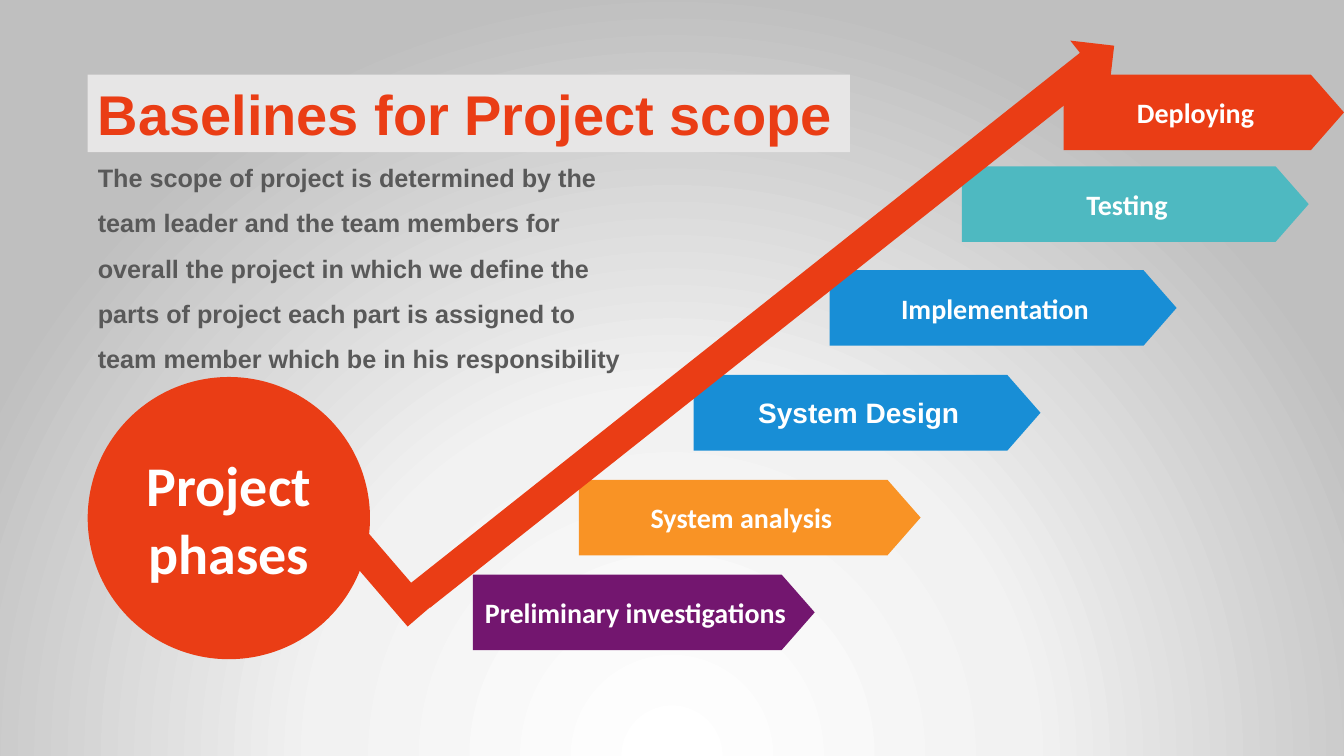
from lxml import etree
from pptx import Presentation
from pptx.dml.color import RGBColor
from pptx.enum.shapes import MSO_SHAPE
from pptx.enum.text import MSO_ANCHOR, MSO_AUTO_SIZE, PP_ALIGN
from pptx.oxml import parse_xml
from pptx.oxml.ns import nsdecls, qn
from pptx.util import Inches, Pt

PENTAGON = MSO_SHAPE.PENTAGON
RIGHT_ARROW = MSO_SHAPE.RIGHT_ARROW
RECTANGLE = MSO_SHAPE.RECTANGLE
OVAL = MSO_SHAPE.OVAL
LEFT, CENTER = PP_ALIGN.LEFT, PP_ALIGN.CENTER
TOP, MIDDLE = MSO_ANCHOR.TOP, MSO_ANCHOR.MIDDLE

RED = RGBColor(0xEA, 0x3D, 0x15)
TEAL = RGBColor(0x4E, 0xB9, 0xC1)
BLUE = RGBColor(0x18, 0x8E, 0xD6)
ORANGE = RGBColor(0xF9, 0x93, 0x25)
PURPLE = RGBColor(0x73, 0x16, 0x6F)
WHITE = RGBColor(0xFF, 0xFF, 0xFF)
DARK_GRAY = RGBColor(0x59, 0x59, 0x59)
LIGHT_GRAY = RGBColor(0xE7, 0xE6, 0xE6)
BACKGROUND_STOPS = [(0, "FFFFFF"), (46, "F2F2F2"), (100, "BFBFBF")]

SCOPE_TEXT = (
    "The scope of project is determined by the team leader and the team "
    "members for overall the project in which we define the parts of project "
    "each part is assigned to team member which be in his responsibility"
)
# label, left, top, width, colour, font
PHASES = [
    ("Preliminary investigations", 4.69, 5.7, 3.39, PURPLE, "Calibri"),
    ("System analysis", 5.74, 4.76, 3.39, ORANGE, "Calibri"),
    ("System Design", 6.88, 3.72, 3.44, BLUE, "Arial"),
    ("Implementation", 8.23, 2.68, 3.44, BLUE, "Calibri"),
    ("Testing", 9.54, 1.65, 3.44, TEAL, "Calibri"),
]
LAST_PHASE = ("Deploying", 10.55, 0.74, 2.78, RED, "Calibri")
PHASE_HEIGHT = 0.75


def set_background(slide):
    """Fill the slide with a round gradient centred below its lower edge."""
    fill = slide.background.fill
    fill.solid()
    solid = slide.background._cSld.find(".//" + qn("a:solidFill"))
    stops = "".join(
        f'<a:gs pos="{pos * 1000}"><a:srgbClr val="{color}"/></a:gs>'
        for pos, color in BACKGROUND_STOPS
    )
    gradient = parse_xml(
        f'<a:gradFill {nsdecls("a")} rotWithShape="1"><a:gsLst>{stops}</a:gsLst>'
        '<a:path path="circle"><a:fillToRect l="50000" t="130000" r="50000" '
        'b="-30000"/></a:path></a:gradFill>'
    )
    solid.getparent().replace(solid, gradient)


def place(shape, left, top, width, height):
    shape.left, shape.top = Inches(left), Inches(top)
    shape.width, shape.height = Inches(width), Inches(height)


def write(shape, text, size, color, font_name, align=CENTER, anchor=MIDDLE):
    frame = shape.text_frame
    frame.text = text
    frame.word_wrap = True
    frame.auto_size = MSO_AUTO_SIZE.NONE
    frame.vertical_anchor = anchor
    paragraph = frame.paragraphs[0]
    paragraph.alignment = align
    font = paragraph.runs[0].font
    font.size, font.bold, font.name = Pt(size), True, font_name
    font.color.rgb = color
    return paragraph


def add_block(shapes, kind, left, top, width, height, color, rotation=0):
    block = shapes.add_shape(
        kind, Inches(left), Inches(top), Inches(width), Inches(height))
    block.shadow.inherit = False
    block.fill.solid()
    block.fill.fore_color.rgb = color
    block.line.fill.background()
    block.rotation = rotation
    return block


def add_title(slide, left, top, width, height):
    title = slide.shapes.title
    place(title, left, top, width, height)
    title.fill.solid()
    title.fill.fore_color.rgb = LIGHT_GRAY
    write(title, "Baselines for Project scope", 40, RED, "Arial", LEFT, TOP)


def add_scope(slide, left, top, width, height):
    body = slide.placeholders[1]
    place(body, left, top, width, height)
    paragraph = write(body, SCOPE_TEXT, 18, DARK_GRAY, "Arial", LEFT, TOP)
    paragraph.line_spacing = 1.5
    paragraph.space_before = Pt(0)
    properties = paragraph._p.get_or_add_pPr()
    properties.set("marL", "0")
    properties.set("indent", "0")
    etree.SubElement(properties, qn("a:buNone"))


def add_phase(slide, label, left, top, width, color, font_name):
    phase = add_block(
        slide.shapes, PENTAGON, left, top, width, PHASE_HEIGHT, color)
    phase.adjustments[0] = 0.438
    write(phase, label, 20, WHITE, font_name)


def add_rising_arrow(slide, left, top):
    """Join a long rising arrow and the short stem that leads into it."""
    parts = slide.shapes.add_group_shape().shapes
    add_block(parts, RIGHT_ARROW, left, top, 8.78, 0.62, RED, 321.6)
    add_block(parts, RECTANGLE, left + 0.09, top + 2.7, 1.03, 0.31, RED, 49.3)


def add_hub(slide, left, top, diameter):
    hub = add_block(slide.shapes, OVAL, left, top, diameter, diameter, RED)
    write(hub, "Project phases", 40, WHITE, "Calibri")


def main():
    presentation = Presentation()
    presentation.slide_width = Inches(13.33)
    presentation.slide_height = Inches(7.5)
    slide = presentation.slides.add_slide(presentation.slide_layouts[1])
    set_background(slide)
    add_title(slide, 0.87, 0.74, 7.56, 0.77)
    add_scope(slide, 0.87, 1.41, 5.59, 2.32)
    for phase in PHASES:
        add_phase(slide, *phase)
    add_rising_arrow(slide, 3.22, 2.87)
    add_hub(slide, 0.87, 3.74, 2.8)
    add_phase(slide, *LAST_PHASE)
    presentation.save("out.pptx")


if __name__ == "__main__":
    main()
